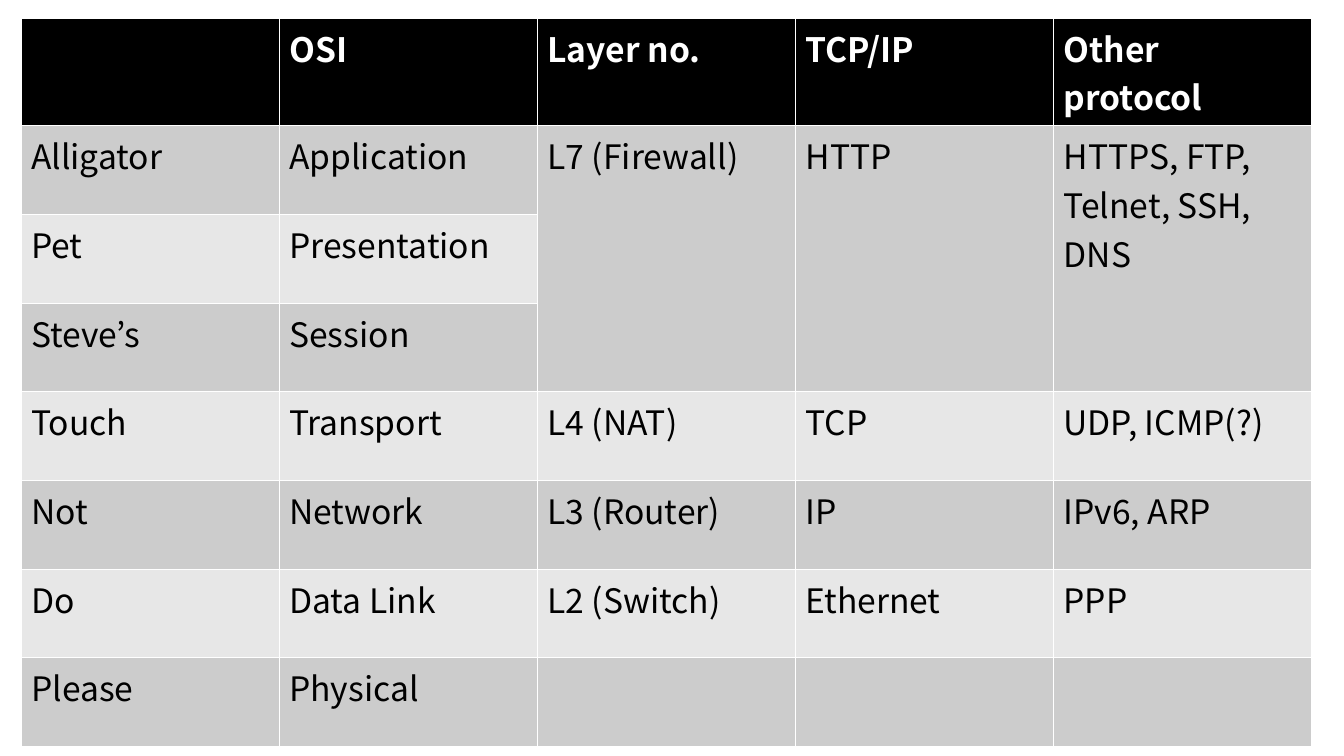
import pptx
import pptx.dml.color
import pptx.util
from pptx.dml.color import RGBColor
from pptx.util import Inches

BLACK = RGBColor(0x00, 0x00, 0x00)
WHITE = RGBColor(0xFF, 0xFF, 0xFF)
DARK_BAND = RGBColor(0xCC, 0xCC, 0xCC)
LIGHT_BAND = RGBColor(0xE7, 0xE7, 0xE7)
FONT_NAME = "Noto Sans CJK KR"
ROW_HEIGHT = 0.88
COLUMN_WIDTH = 2.56

LAYERS = [
    ["", "OSI", "Layer no.", "TCP/IP", "Other protocol"],
    ["Alligator", "Application", "L7 (Firewall)", "HTTP", "HTTPS, FTP, Telnet, SSH, DNS"],
    ["Pet", "Presentation", "", "", ""],
    ["Steve’s", "Session", "", "", ""],
    ["Touch", "Transport", "L4 (NAT)", "TCP", "UDP, ICMP(?)"],
    ["Not", "Network", "L3 (Router)", "IP", "IPv6, ARP"],
    ["Do", "Data Link", "L2 (Switch)", "Ethernet", "PPP"],
    ["Please", "Physical", "", "", ""],
]


def format_cell(cell, text, fill_color, is_header):
    """Write and format one table cell."""
    cell.fill.solid()
    cell.fill.fore_color.rgb = fill_color
    cell.text = text
    font = cell.text_frame.paragraphs[0].font
    font.name = FONT_NAME
    font.size = pptx.util.Pt(24)
    font.bold = is_header
    font.color.rgb = WHITE if is_header else BLACK


def add_layer_table(slide):
    """Add the table of network layers, its application rows merged."""
    row_count, column_count = len(LAYERS), len(LAYERS[0])
    table = slide.shapes.add_table(
        row_count, column_count, Inches(0.21), Inches(0.18),
        Inches(COLUMN_WIDTH * column_count), Inches(ROW_HEIGHT * row_count),
    ).table
    for row_index, texts in enumerate(LAYERS):
        is_header = row_index == 0
        band_color = DARK_BAND if row_index % 2 else LIGHT_BAND
        fill_color = BLACK if is_header else band_color
        for column_index, text in enumerate(texts):
            format_cell(table.cell(row_index, column_index), text, fill_color, is_header)
    for column_index in range(2, column_count):
        table.cell(1, column_index).merge(table.cell(3, column_index))


def main():
    """Build the slide and save the presentation."""
    presentation = pptx.Presentation()
    presentation.slide_width = Inches(13.33)
    presentation.slide_height = Inches(7.5)
    slide = presentation.slides.add_slide(presentation.slide_layouts[6])
    add_layer_table(slide)
    presentation.save("out.pptx")


if __name__ == "__main__":
    main()
